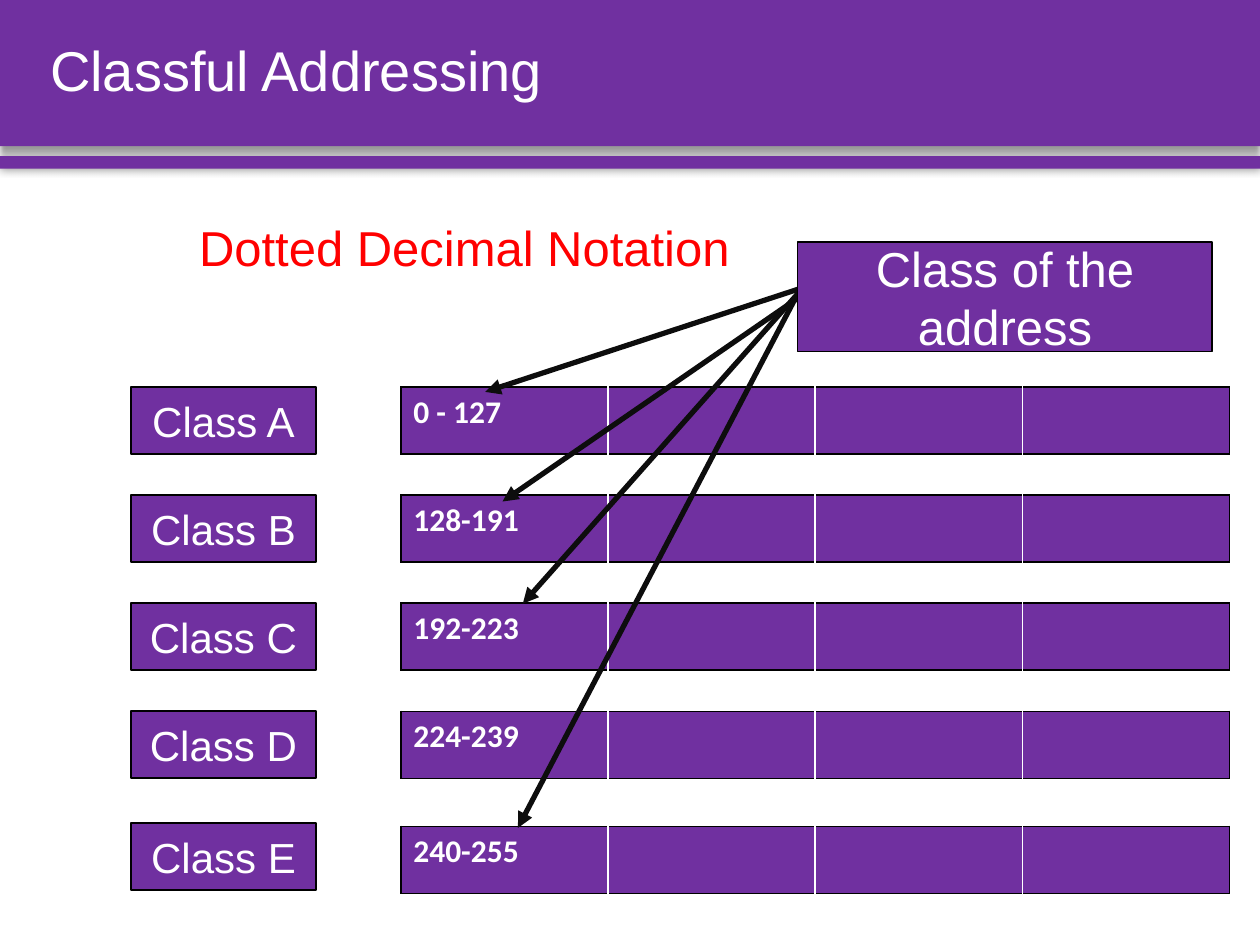
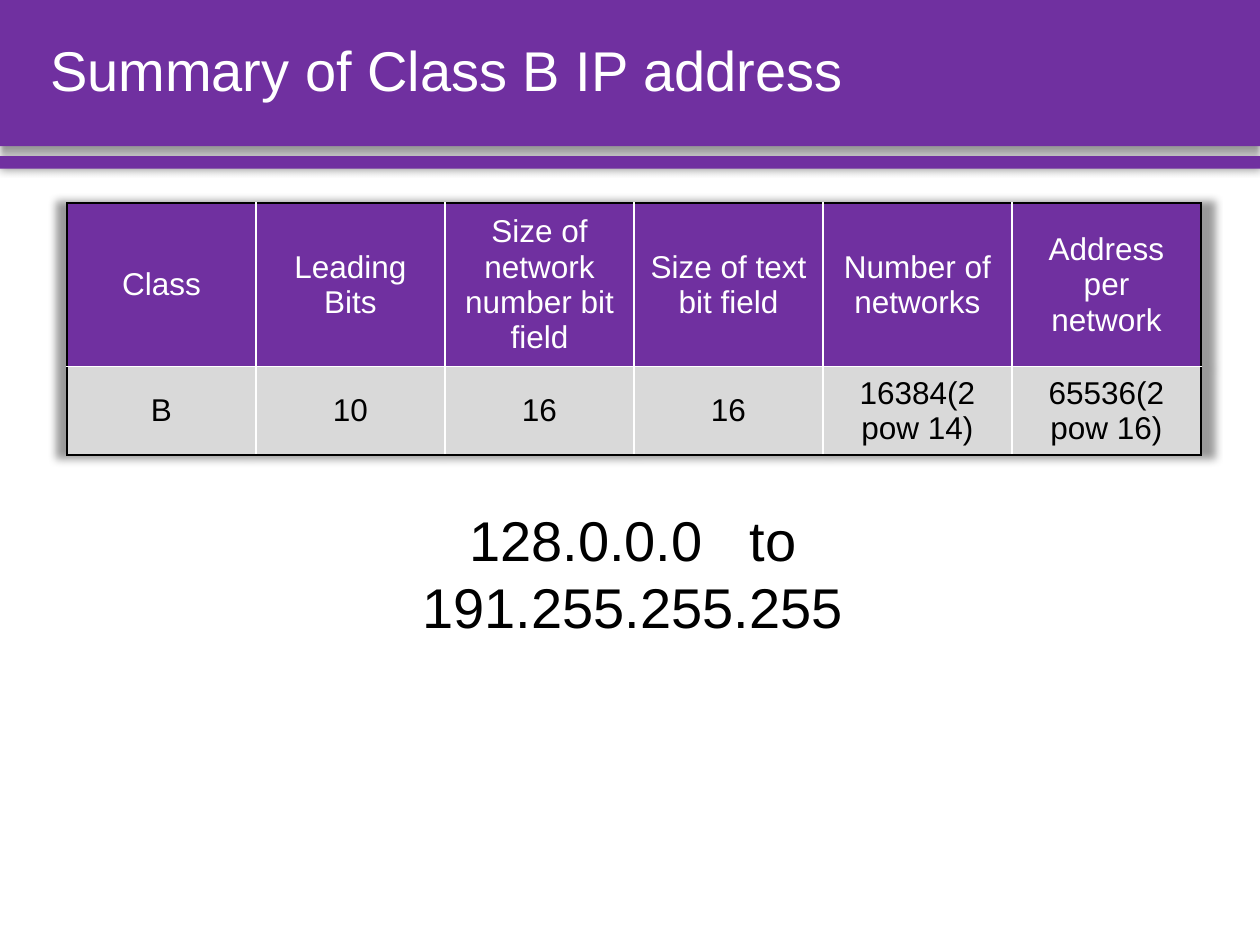
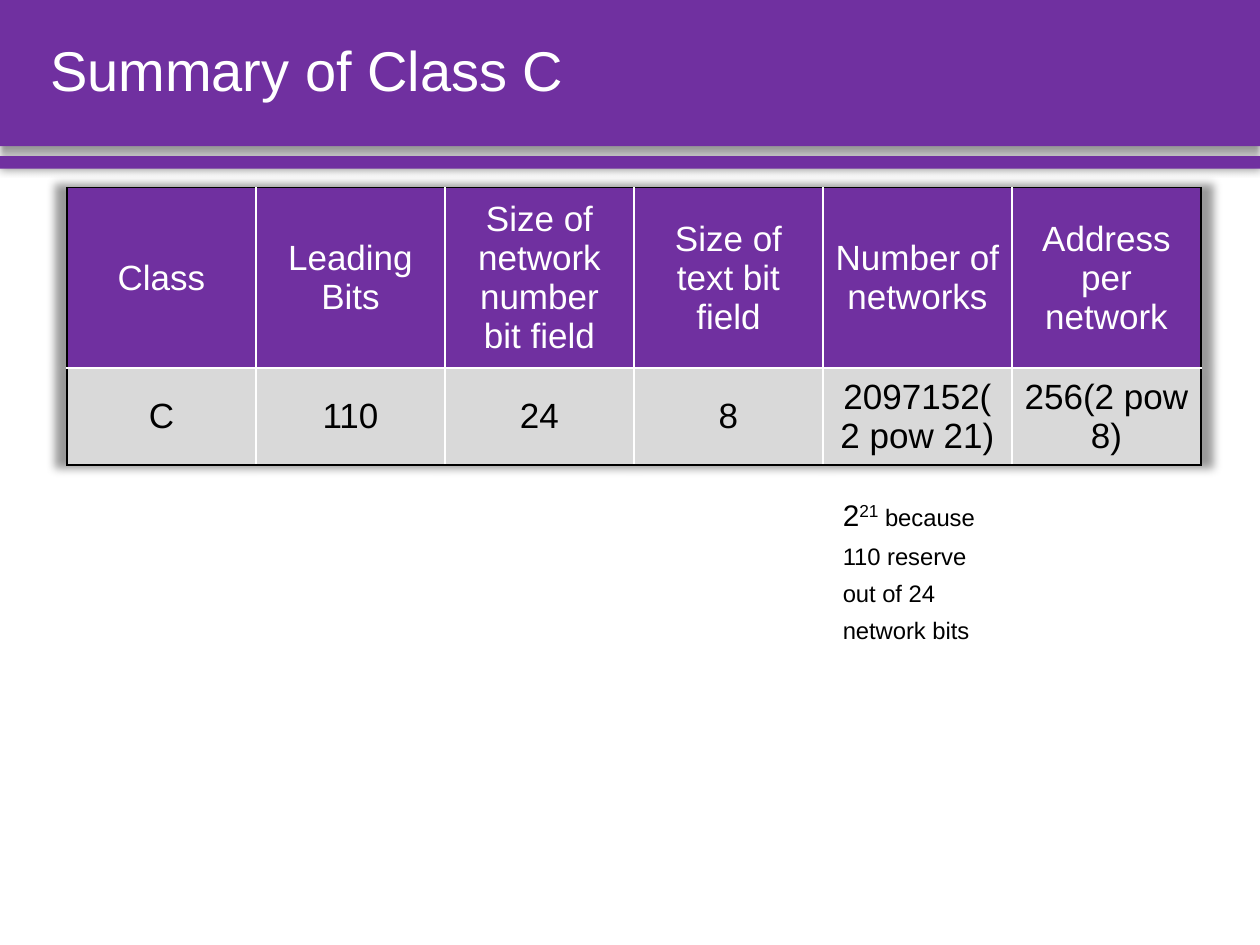
from dataclasses import dataclass

from lxml import etree
from pptx import Presentation
from pptx import util as u
from pptx.dml.color import RGBColor
from pptx.enum import shapes, text
from pptx.oxml import ns


@dataclass(frozen=True)
class Theme:
    purple: str = "7030A0"
    gray: str = "D9D9D9"
    white: str = "FFFFFF"
    black: str = "000000"
    arrow: str = "0D0D0D"
    red: str = "FF0000"
    font: str = "Arial"
    range_font: str = "Calibri"
    title: float = 32
    heading: float = 28
    label: float = 24
    body: float = 18


THEME = Theme()
CENTER = text.PP_ALIGN.CENTER
MIDDLE = text.MSO_ANCHOR.MIDDLE
SLIDE_SIZE = (25.4, 19.05)

BANDS = [
    {"box": (0, 0, 25.4, 2.95), "shadow": {"blurRad": u.Pt(4), "dist": u.Pt(3), "dir": 5400000}},
    {"box": (0, 3.15, 25.4, 0.25), "shadow": {"blurRad": u.Pt(5), "dist": 0}},
]
TITLE_BOX = (0.76, 0, 24.03, 2.95)

CLASS_RANGES = [
    ("Class A", "0 - 127"),
    ("Class B", "128-191"),
    ("Class C", "192-223"),
    ("Class D", "224-239"),
    ("Class E", "240-255"),
]
FIRST_CLASS_TOP, CLASS_PITCH, CLASS_HEIGHT = 7.8, 2.18, 1.35
LAST_LABEL_DROP, LAST_RANGE_DROP = 0.07, 0.14
ARROWS = [
    ((16.76, 5.61), (9.78, 7.9)),
    ((16.33, 5.84), (10.13, 10.11)),
    ((16.26, 5.72), (10.54, 12.17)),
    ((16.48, 5.16), (10.44, 16.69)),
]

SUMMARY_HEADER = ["Class", "Leading Bits", "Size of network number bit field",
                  "Size of text bit field", "Number of networks", "Address per network"]
SUMMARIES = [
    {
        "title": "Summary of Class B IP address",
        "row": ["B", "10", "16", "16", "16384(2 pow 14)", "65536(2 pow 16)"],
        "top": 4.09, "heights": (3.1, 1.68), "size": 18,
        "note_box": (5.46, 10.06, 14.6, 1.63),
        "note": [("128.0.0.0", {}, {}), (" ", {}, {"spc": 1780}), ("to 191.255.255.255", {}, {})],
        "note_size": THEME.title,
        "note_format": {"alignment": CENTER},
    },
    {
        "title": "Summary of Class C",
        "row": ["C", "110", "24", "8", "2097152(2 pow 21)", "256(2 pow 8)"],
        "top": 3.78, "heights": (3.41, 1.83), "size": 20,
        "note_box": (16.74, 9.68, 3.61, 3.68),
        "note": [("2", {}, {}), ("21", {}, {"baseline": 30000}),
                 (" because 110 reserve out of 24 network bits", {"size": u.Pt(13.6)}, {})],
        "note_size": 17,
        "note_format": {"line_spacing": 1.3},
    },
]


def cm(values):
    return [u.Cm(value) for value in values]


def rgb(color):
    return RGBColor.from_string(color)


def apply(target, values):
    for name, value in values.items():
        setattr(target, name, value)


def element(parent, tag, **attributes):
    child = etree.SubElement(parent, ns.qn(tag))
    for name, value in attributes.items():
        child.set(name, str(value))
    return child


def add_shadow(parent, **attributes):
    shadow = element(element(parent, "a:effectLst"), "a:outerShdw", **attributes)
    color = element(shadow, "a:srgbClr", val=THEME.black)
    element(color, "a:alpha", val=40000)


def write(frame, runs, size, color, font=THEME.font, bold=False, **paragraph_format):
    if isinstance(runs, str):
        runs = [(runs, {}, {})]
    paragraph = frame.paragraphs[0]
    apply(paragraph, paragraph_format)
    for words, font_format, attributes in runs:
        run = paragraph.add_run()
        run.text = words
        run.font.color.rgb = rgb(color)
        apply(run.font, {"name": font, "size": u.Pt(size), "bold": bold, **font_format})
        for name, value in attributes.items():
            run.font._element.set(name, str(value))


def add_text(slide, box, runs, size, color, anchor=text.MSO_ANCHOR.TOP, **paragraph_format):
    frame = slide.shapes.add_textbox(*cm(box)).text_frame
    apply(frame, {"word_wrap": True, "vertical_anchor": anchor})
    write(frame, runs, size, color, **paragraph_format)


def add_block(slide, box, line=THEME.black):
    shape = slide.shapes.add_shape(shapes.MSO_SHAPE.RECTANGLE, *cm(box))
    shape.fill.solid()
    shape.fill.fore_color.rgb = rgb(THEME.purple)
    if line:
        shape.shadow.inherit = False
        shape.line.color.rgb = rgb(line)
        shape.line.width = u.Pt(1)
    else:
        shape.line.fill.background()
    return shape


def add_label(slide, box, words, size):
    frame = add_block(slide, box).text_frame
    apply(frame, {"word_wrap": True, "vertical_anchor": MIDDLE})
    write(frame, words, size, THEME.white, alignment=CENTER)


def add_arrow(slide, start, end):
    arrow = slide.shapes.add_connector(shapes.MSO_CONNECTOR.STRAIGHT, *cm(start + end))
    arrow.line.color.rgb = rgb(THEME.arrow)
    arrow.line.width = u.Pt(3)
    element(arrow.line._get_or_add_ln(), "a:tailEnd", type="triangle")
    element(arrow._element.spPr, "a:effectLst")


def add_grid(slide, box, rows, heights, fills, **cell_format):
    table = slide.shapes.add_table(len(rows), len(rows[0]), *cm(box)).table
    apply(table, {"first_row": False, "horz_banding": False})
    for row, height in zip(table.rows, heights):
        row.height = u.Cm(height)
    last_row, last_column = len(rows) - 1, len(rows[0]) - 1
    for i, (row, (fill, color)) in enumerate(zip(rows, fills)):
        for j, words in enumerate(row):
            cell = table.cell(i, j)
            properties = cell._tc.get_or_add_tcPr()
            outer = {"L": j == 0, "R": j == last_column, "T": i == 0, "B": i == last_row}
            for side, is_outer in outer.items():
                border = element(properties, f"a:ln{side}", w=u.Pt(1))
                line_color = THEME.black if is_outer else THEME.white
                element(element(border, "a:solidFill"), "a:srgbClr", val=line_color)
            cell.fill.solid()
            cell.fill.fore_color.rgb = rgb(fill)
            if words:
                write(cell.text_frame, words, color=color, **cell_format)
    return table


def add_bands(slide, layout):
    for band in BANDS:
        shape = add_block(slide, band["box"], line=None)
        add_shadow(shape._element.spPr, **band["shadow"])
        layout.shapes._spTree.append(shape._element)


def add_slide(presentation, title):
    layout = presentation.slide_layouts[6]
    slide = presentation.slides.add_slide(layout)
    if len(presentation.slides) == 1:
        add_bands(slide, layout)
    add_text(slide, TITLE_BOX, title, THEME.title, THEME.white, MIDDLE, line_spacing=0.9)
    return slide


def add_classful_slide(presentation):
    slide = add_slide(presentation, "Classful Addressing")
    add_text(slide, (3.38, 3.99, 11.96, 1.98), "Dotted Decimal Notation",
             THEME.heading, THEME.red, MIDDLE, alignment=CENTER)
    for i, (name, octets) in enumerate(CLASS_RANGES):
        top = FIRST_CLASS_TOP + i * CLASS_PITCH
        is_last = i == len(CLASS_RANGES) - 1
        label_top = top + LAST_LABEL_DROP * is_last
        range_top = top + LAST_RANGE_DROP * is_last
        add_label(slide, (2.64, label_top, 3.73, CLASS_HEIGHT), name, THEME.label)
        add_grid(slide, (8.08, range_top, 16.71, CLASS_HEIGHT), [[octets, "", "", ""]],
                 [CLASS_HEIGHT], [(THEME.purple, THEME.white)],
                 size=THEME.body, font=THEME.range_font, bold=True)
    for start, end in ARROWS:
        add_arrow(slide, start, end)
    add_label(slide, (16.08, 4.88, 8.36, 2.21), "Class of the address", THEME.heading)


def add_summary_slide(presentation, summary):
    slide = add_slide(presentation, summary["title"])
    heights = summary["heights"]
    table = add_grid(slide, (1.35, summary["top"], 22.86, sum(heights)),
                     [SUMMARY_HEADER, summary["row"]], heights,
                     [(THEME.purple, THEME.white), (THEME.gray, THEME.black)],
                     size=summary["size"], alignment=CENTER)
    for cell in table.iter_cells():
        cell.vertical_anchor = MIDDLE
    properties = table._tbl.tblPr
    add_shadow(properties, blurRad=u.Pt(5), sx=102000, sy=102000, algn="ctr")
    properties.insert(0, properties[-1])
    add_text(slide, summary["note_box"], summary["note"], summary["note_size"],
             THEME.black, **summary["note_format"])


def main():
    presentation = Presentation()
    presentation.slide_width, presentation.slide_height = cm(SLIDE_SIZE)
    add_classful_slide(presentation)
    for summary in SUMMARIES:
        add_summary_slide(presentation, summary)
    presentation.save("out.pptx")


if __name__ == "__main__":
    main()
